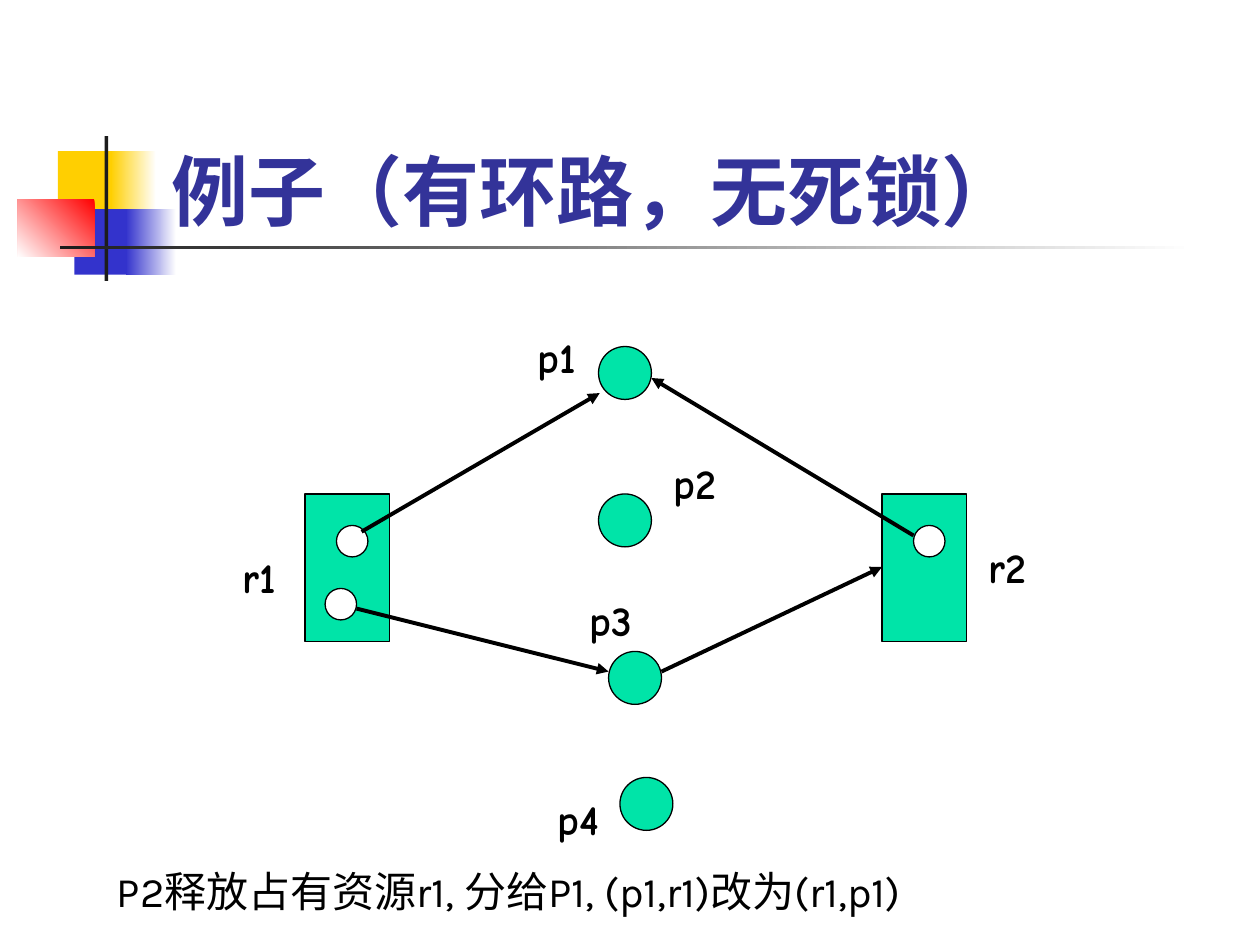
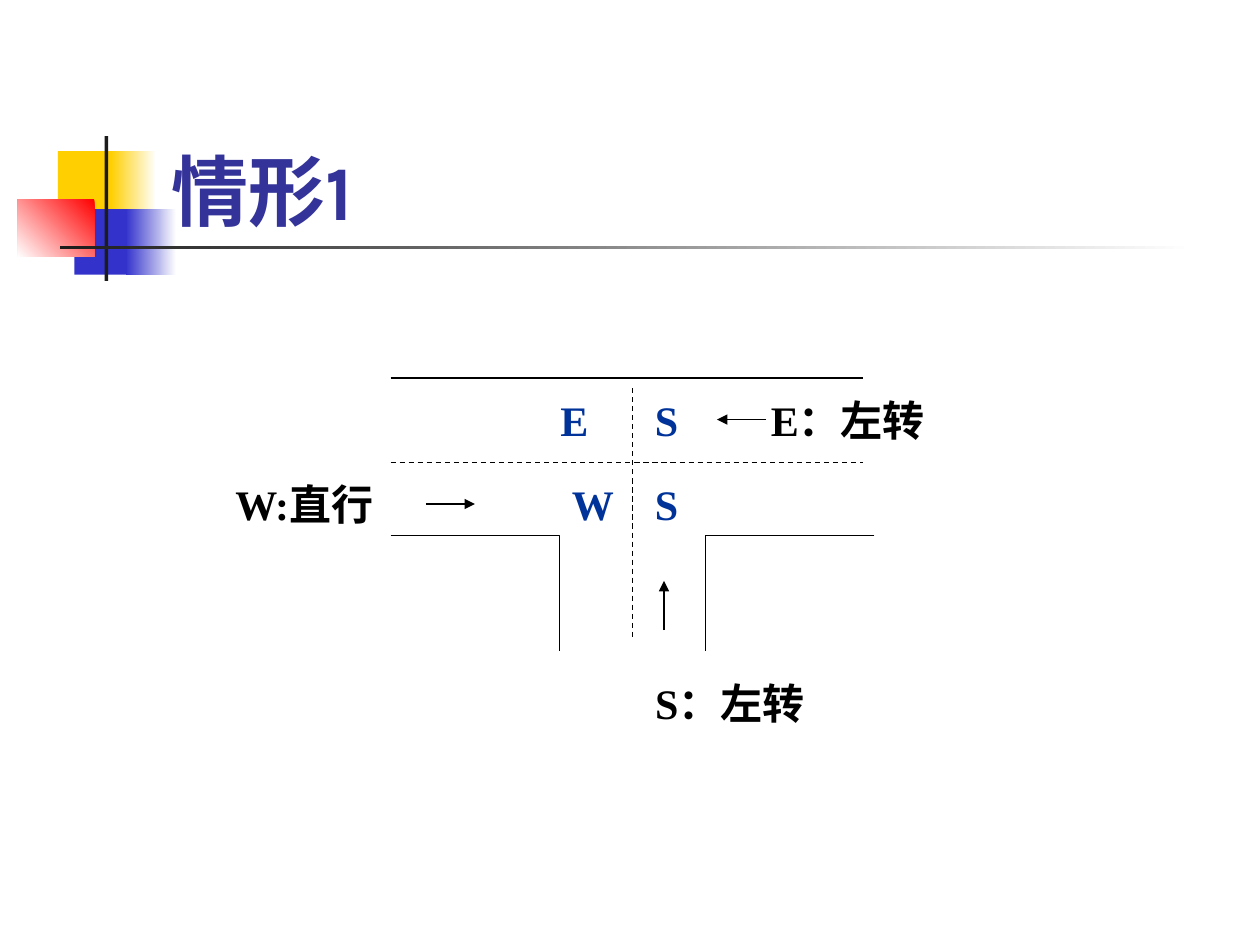
from dataclasses import dataclass

from lxml import etree
from pptx import Presentation
from pptx.dml.color import RGBColor
from pptx.enum.dml import MSO_LINE
from pptx.enum.lang import MSO_LANGUAGE_ID
from pptx.enum.shapes import MSO_CONNECTOR, MSO_SHAPE
from pptx.enum.text import MSO_ANCHOR, MSO_AUTO_SIZE, PP_ALIGN
from pptx.oxml.ns import qn
from pptx.util import Pt

PX = 9144
TITLE_ONLY = 5
RECTANGLE = MSO_SHAPE.RECTANGLE
OVAL = MSO_SHAPE.OVAL
STRAIGHT = MSO_CONNECTOR.STRAIGHT
DASH = MSO_LINE.DASH
BOTTOM = MSO_ANCHOR.BOTTOM
LEFT = PP_ALIGN.LEFT
FIXED_SIZE = MSO_AUTO_SIZE.NONE
GROW = MSO_AUTO_SIZE.SHAPE_TO_FIT_TEXT
CHINESE = MSO_LANGUAGE_ID.SIMPLIFIED_CHINESE


@dataclass(frozen=True)
class Theme:
    title: str = "333399"
    ink: str = "000000"
    paper: str = "FFFFFF"
    node: str = "00E4A8"
    zone: str = "003399"
    yellow: str = "FFCF01"
    blue: str = "3333CC"
    red: str = "FF0000"
    bar: str = "1C1C1C"
    main_font: str = "Karla"
    label_font: str = "Comic Neue"
    road_font: str = "Times New Roman"
    title_size: int = 44
    text_size: int = 24
    space_before: int = 15
    thin: float = 0.75
    thick: float = 2.25


THEME = Theme()


def emu(*lengths):
    return [length * PX for length in lengths]


def rgb(color):
    return RGBColor.from_string(color)


def style_line(line, width=THEME.thin):
    line.color.rgb = rgb(THEME.ink)
    line.width = Pt(width)


def format_text(text_frame, font_name, size, color, bold):
    text_frame.word_wrap = True
    paragraph = text_frame.paragraphs[0]
    paragraph.alignment = LEFT
    for run in paragraph.runs:
        run.font.name = font_name
        run.font.size = Pt(size)
        run.font.bold = bold
        run.font.color.rgb = rgb(color)
        run.font.language_id = CHINESE


def add_text(slide, text, box, font_name, color=THEME.ink, bold=True):
    text_frame = slide.shapes.add_textbox(*emu(*box)).text_frame
    text_frame.text = text
    text_frame.auto_size = GROW
    text_frame.paragraphs[0].space_before = Pt(THEME.space_before)
    format_text(text_frame, font_name, THEME.text_size, color, bold)


def add_solid(slide, preset, box, color, outlined=True):
    shape = slide.shapes.add_shape(preset, *emu(*box))
    shape.shadow.inherit = False
    shape.fill.solid()
    shape.fill.fore_color.rgb = rgb(color)
    if outlined:
        style_line(shape.line)
    else:
        shape.line.fill.background()
    return shape


def add_gradient(slide, box, colors, angle=180):
    shape = add_solid(slide, RECTANGLE, box, colors[0], outlined=False)
    shape.fill.gradient()
    shape.fill.gradient_angle = angle
    for stop, color in zip(shape.fill.gradient_stops, colors):
        stop.color.rgb = rgb(color)
    return shape


def add_line(slide, start, end, width=THEME.thin, dashed=False, arrow=False):
    connector = slide.shapes.add_connector(STRAIGHT, *emu(*start, *end))
    style_line(connector.line, width)
    if dashed:
        connector.line.dash_style = DASH
    properties = connector.element.spPr
    if arrow:
        etree.SubElement(properties.find(qn("a:ln")), qn("a:tailEnd"), type="triangle")
    etree.SubElement(properties, qn("a:effectLst"))


def add_outline(slide, points):
    start, *rest = points
    builder = slide.shapes.build_freeform(*start, scale=PX)
    builder.add_line_segments(rest, close=False)
    shape = builder.convert_to_shape()
    shape.shadow.inherit = False
    shape.fill.background()
    style_line(shape.line)


def add_titled_slide(presentation, title):
    slide = presentation.slides.add_slide(presentation.slide_layouts[TITLE_ONLY])
    shape = slide.shapes.title
    shape.left, shape.top, shape.width, shape.height = emu(126, 67, 852, 125)
    text_frame = shape.text_frame
    text_frame.text = title
    text_frame.auto_size = FIXED_SIZE
    text_frame.vertical_anchor = BOTTOM
    format_text(text_frame, THEME.main_font, THEME.title_size, THEME.title, True)
    return slide


def move_decoration_to_layout(slide):
    layout = slide.slide_layout
    for placeholder in list(layout.placeholders):
        if placeholder.placeholder_format.idx:
            placeholder.element.getparent().remove(placeholder.element)
    decoration = [
        add_solid(slide, RECTANGLE, (46, 120, 48, 52), THEME.yellow, False),
        add_gradient(slide, (88, 120, 36, 52), (THEME.paper, THEME.yellow)),
        add_solid(slide, RECTANGLE, (59, 166, 46, 52), THEME.blue, False),
        add_gradient(slide, (100, 166, 40, 52), (THEME.paper, THEME.blue)),
        add_gradient(slide, (14, 158, 61, 46), (THEME.red, THEME.paper), 225),
        add_solid(slide, RECTANGLE, (83, 108, 3, 115), THEME.bar, False),
        add_gradient(slide, (48, 195, 900, 3), (THEME.paper, THEME.bar)),
    ]
    for shape in decoration:
        layout.element.cSld.spTree.append(shape.element)


def add_resource(slide, left, units):
    add_solid(slide, RECTANGLE, (left, 392, 67, 117), THEME.node)
    for unit_left, unit_top in units:
        add_solid(slide, OVAL, (unit_left, unit_top, 25, 25), THEME.paper)


def draw_resource_graph(slide):
    add_resource(slide, 242, [(267, 417), (258, 467)])
    add_resource(slide, 700, [(725, 417)])
    for left, top in [(475, 275), (475, 392), (483, 517), (492, 617)]:
        add_solid(slide, OVAL, (left, top, 42, 42), THEME.node)

    labels = [
        ("p1", 417, 258, 75),
        ("p2", 525, 358, 58),
        ("p3", 458, 467, 58),
        ("p4", 433, 625, 67),
        ("r1", 183, 433, 67),
        ("r2", 775, 425, 58),
    ]
    for text, left, top, width in labels:
        add_text(slide, text, (left, top, width, 50), THEME.label_font)

    edges = [
        ((725, 425), (517, 300)),
        ((283, 483), (483, 533)),
        ((287, 422), (476, 312)),
        ((525, 533), (700, 450)),
    ]
    for start, end in edges:
        add_line(slide, start, end, THEME.thick, arrow=True)

    add_text(slide, "P2释放占有资源r1, 分给P1, (p1,r1)改为(r1,p1)",
             (83, 682, 835, 50), THEME.main_font, bold=False)


def draw_junction(slide):
    add_line(slide, (310, 300), (685, 300))
    for outer, inner in [(310, 444), (694, 560)]:
        add_outline(slide, [(outer, 425), (inner, 425), (inner, 517)])
    add_line(slide, (310, 367), (685, 367), dashed=True)
    add_line(slide, (502, 308), (502, 508), dashed=True)

    for text, left, top in [("S", 510, 375), ("S", 510, 308), ("E", 435, 308), ("W", 444, 375)]:
        add_text(slide, text, (left, top, 50, 50), THEME.road_font, THEME.zone)

    routes = [
        ("W:直行", (177, 375, 133, 90), (338, 400), (377, 400)),
        ("E：左转", (602, 308, 150, 50), (608, 333), (569, 333)),
        ("S：左转", (510, 533, 142, 90), (527, 500), (527, 461)),
    ]
    for text, box, start, end in routes:
        add_line(slide, start, end, arrow=True)
        add_text(slide, text, box, THEME.road_font)


def main():
    presentation = Presentation()
    presentation.slide_width, presentation.slide_height = emu(1000, 750)
    graph_slide = add_titled_slide(presentation, "例子（有环路，无死锁）")
    move_decoration_to_layout(graph_slide)
    draw_resource_graph(graph_slide)
    draw_junction(add_titled_slide(presentation, "情形1"))
    presentation.save("out.pptx")


if __name__ == "__main__":
    main()
